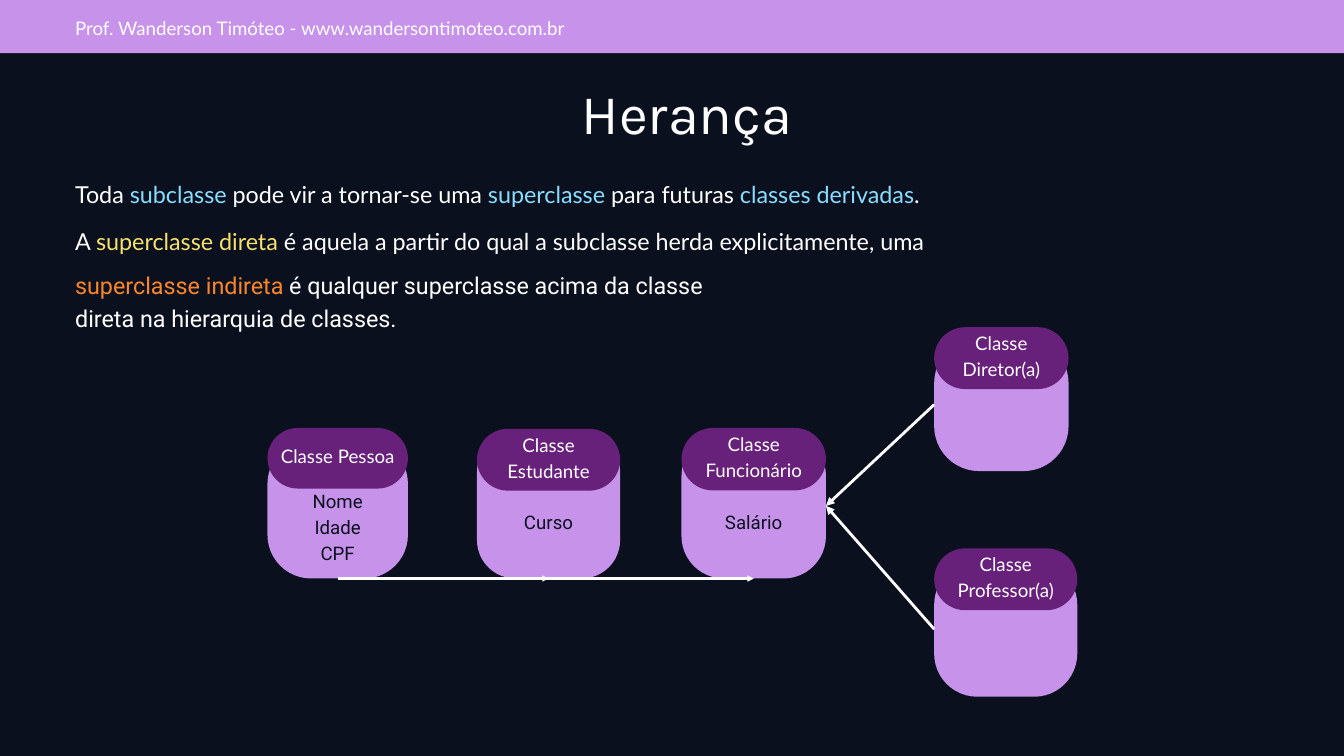
from lxml import etree
from pptx import Presentation
from pptx.dml.color import RGBColor
from pptx.enum import shapes, text
from pptx.oxml.ns import qn
from pptx.util import Cm, Pt

WHITE, NIGHT, LILAC, PURPLE = "FFFFFF", "0B101E", "C792EA", "68217A"
CYAN, YELLOW, ORANGE = "89DDFF", "F7E16C", "FB872B"
CENTER, LEFT = text.PP_ALIGN.CENTER, text.PP_ALIGN.LEFT
TOP, MIDDLE = text.MSO_ANCHOR.TOP, text.MSO_ANCHOR.MIDDLE


def rgb(value):
    return RGBColor.from_string(value)


def set_text(sp, content, font, size, color, spacing, align=CENTER,
             anchor=MIDDLE, margins=(0, 0, 0, 0)):
    """Write the text of a shape; margins are left, top, right, bottom in cm."""
    tf = sp.text_frame
    tf.text = content
    tf.word_wrap = True
    tf.auto_size = text.MSO_AUTO_SIZE.NONE
    tf.vertical_anchor = anchor
    (tf.margin_left, tf.margin_top,
     tf.margin_right, tf.margin_bottom) = map(Cm, margins)
    for p in tf.paragraphs:
        p.alignment, p.line_spacing = align, Pt(spacing)
        for r in p.runs:
            r.font.name, r.font.size = font, Pt(size)
            r.font.color.rgb = rgb(color)


prs = Presentation()
prs.slide_width, prs.slide_height = Cm(50.8), Cm(28.58)
s = prs.slides.add_slide(prs.slide_layouts[1])
s.background.fill.solid()
s.background.fill.fore_color.rgb = rgb(NIGHT)

# Top bar
bar = s.shapes.add_shape(shapes.MSO_SHAPE.RECTANGLE, 0, 0, prs.slide_width, Cm(2.01))
bar.shadow.inherit = False
bar.fill.solid()
bar.fill.fore_color.rgb = rgb(LILAC)
bar.line.fill.background()
set_text(bar, "Prof. Wanderson Timóteo - www.wandersontimoteo.com.br",
         "Lato", 20, WHITE, 28, LEFT, margins=(2.84, 0, 0, 0))

# Title
title = s.shapes.title
title.left, title.top, title.width, title.height = Cm(21.64), Cm(2.54), Cm(8.66), Cm(2.84)
set_text(title, "Herança", "Karla", 60, WHITE, 84, anchor=TOP)

# Explanation: font, line spacing, space before, coloured pieces of each paragraph
paragraphs = [
    ("Lato", 43.8, 0, [
        ("Toda ", WHITE), ("subclasse", CYAN),
        (" pode vir a tornar-se uma ", WHITE), ("superclasse", CYAN),
        (" para futuras ", WHITE), ("classes derivadas", CYAN), (".", WHITE)]),
    ("Lato", 43.8, 6.6, [
        ("A ", WHITE), ("superclasse direta", YELLOW),
        (" é aquela a partir do qual a subclasse herda explicitamente, uma", WHITE)]),
    ("Roboto", 35, 12.4, [
        ("superclasse indireta", ORANGE),
        (" é qualquer superclasse acima da classe", WHITE),
        ("\n", WHITE),
        ("direta na hierarquia de classes.", WHITE)]),
]
body = s.placeholders[1]
body.left, body.top, body.width, body.height = Cm(2.84), Cm(6.32), Cm(35.36), Cm(6.2)
set_text(body, "\n" * (len(paragraphs) - 1), "Lato", 25, WHITE, 35, LEFT, TOP)
for p, (font, spacing, before, pieces) in zip(body.text_frame.paragraphs, paragraphs):
    p.line_spacing, p.space_before = Pt(spacing), Pt(before)
    pPr = p._p.get_or_add_pPr()
    pPr.set("marL", "0")
    pPr.set("indent", "0")
    etree.SubElement(pPr, qn("a:buNone"))
    for piece, color in pieces:
        if piece == "\n":
            p.add_line_break()
            continue
        r = p.add_run()
        r.text = piece
        r.font.name, r.font.size = font, Pt(25)
        r.font.color.rgb = rgb(color)

# Classes: left, width, (head top, height), (box top, height, radius), attributes, their top
classes = {
    "Pessoa": (10.11, 5.31, (16.18, 2.29), (16.64, 5.23, 1.65), "Nome\nIdade\nCPF", 18.36),
    "Estudante": (18.03, 5.41, (16.21, 2.34), (16.38, 5.49, 1.45), "Curso", 19.15),
    "Funcionário": (25.76, 5.46, (16.18, 2.36), (16.38, 5.49, 1.6), "Salário", 19.15),
    "Diretor(a)": (35.31, 5.08, (12.37, 2.34), (12.78, 5.03, 1.7), "", 0),
    "Professor(a)": (35.31, 5.41, (20.73, 2.34), (21.23, 5.11, 1.63), "", 0),
}
boxes = {}
for name, (left, width, head, (top, height, radius), attributes, text_top) in classes.items():
    parts = []
    for y, h, r, color in ((top, height, radius, LILAC), (*head, head[1] / 2, PURPLE)):
        sp = s.shapes.add_shape(shapes.MSO_SHAPE.ROUNDED_RECTANGLE,
                                Cm(left), Cm(y), Cm(width), Cm(h))
        sp.adjustments[0] = r / min(width, h)
        sp.shadow.inherit = False
        sp.fill.solid()
        sp.fill.fore_color.rgb = rgb(color)
        sp.line.fill.background()
        parts.append(sp)
    boxes[name], header = parts
    set_text(header, f"Classe {name}", "Lato", 20, WHITE, 28, margins=(0, 0, 0, 0.28))
    if attributes:
        # A rounded rectangle already insets its text by 0.29 of the radius
        inset = text_top - top - 0.29 * radius
        set_text(boxes[name], attributes, "Roboto", 20, NIGHT, 28,
                 anchor=TOP, margins=(0, inset, 0, 0))

# Arrows: from, side, to, side, width
arrows = [
    ("Pessoa", 2, "Estudante", 2, 2.25),
    ("Pessoa", 2, "Funcionário", 2, 2.25),
    ("Diretor(a)", 1, "Funcionário", 3, 3),
    ("Professor(a)", 1, "Funcionário", 3, 3),
]
for start, start_side, end, end_side, width in arrows:
    line = s.shapes.add_connector(shapes.MSO_CONNECTOR.STRAIGHT, 0, 0, 0, 0)
    line.begin_connect(boxes[start], start_side)
    line.end_connect(boxes[end], end_side)
    line.line.color.rgb = rgb(WHITE)
    line.line.width = Pt(width)
    etree.SubElement(line.line._get_or_add_ln(), qn("a:tailEnd"), type="triangle")
    etree.SubElement(line._element.spPr, qn("a:effectLst"))

prs.save("out.pptx")
